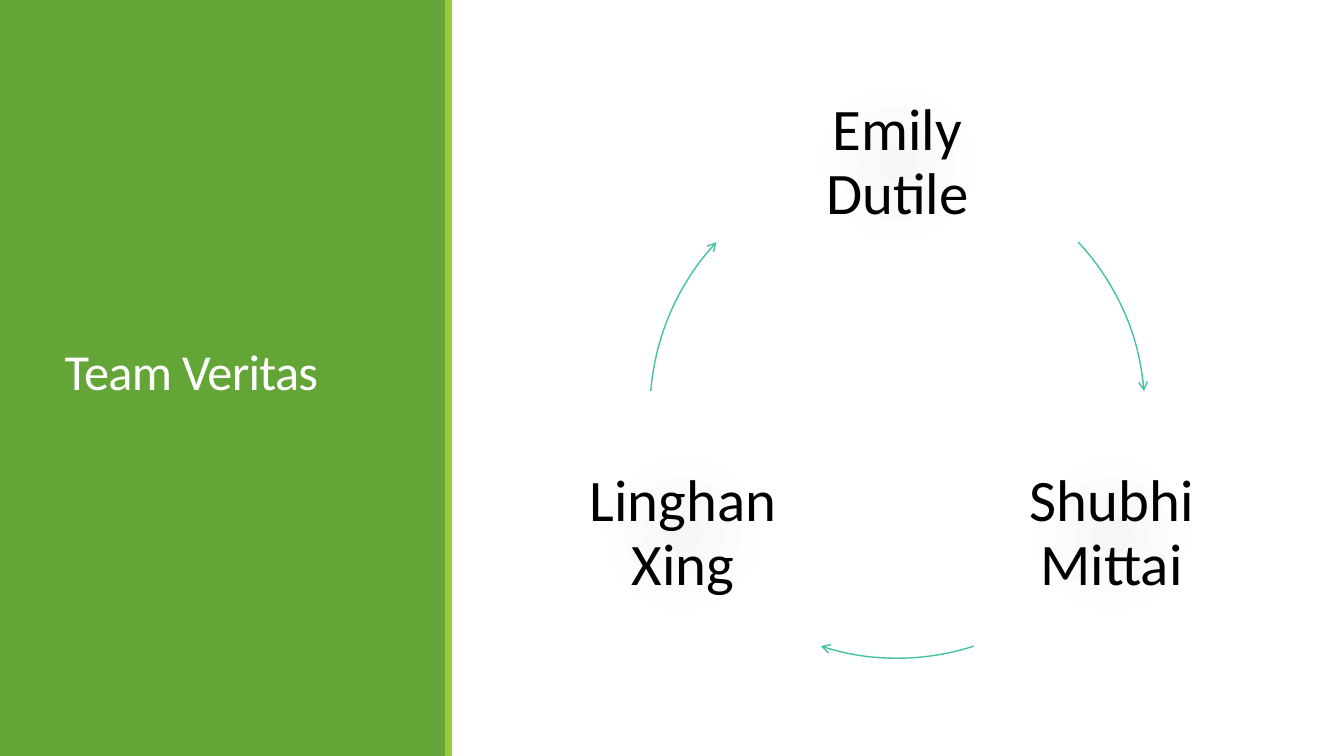
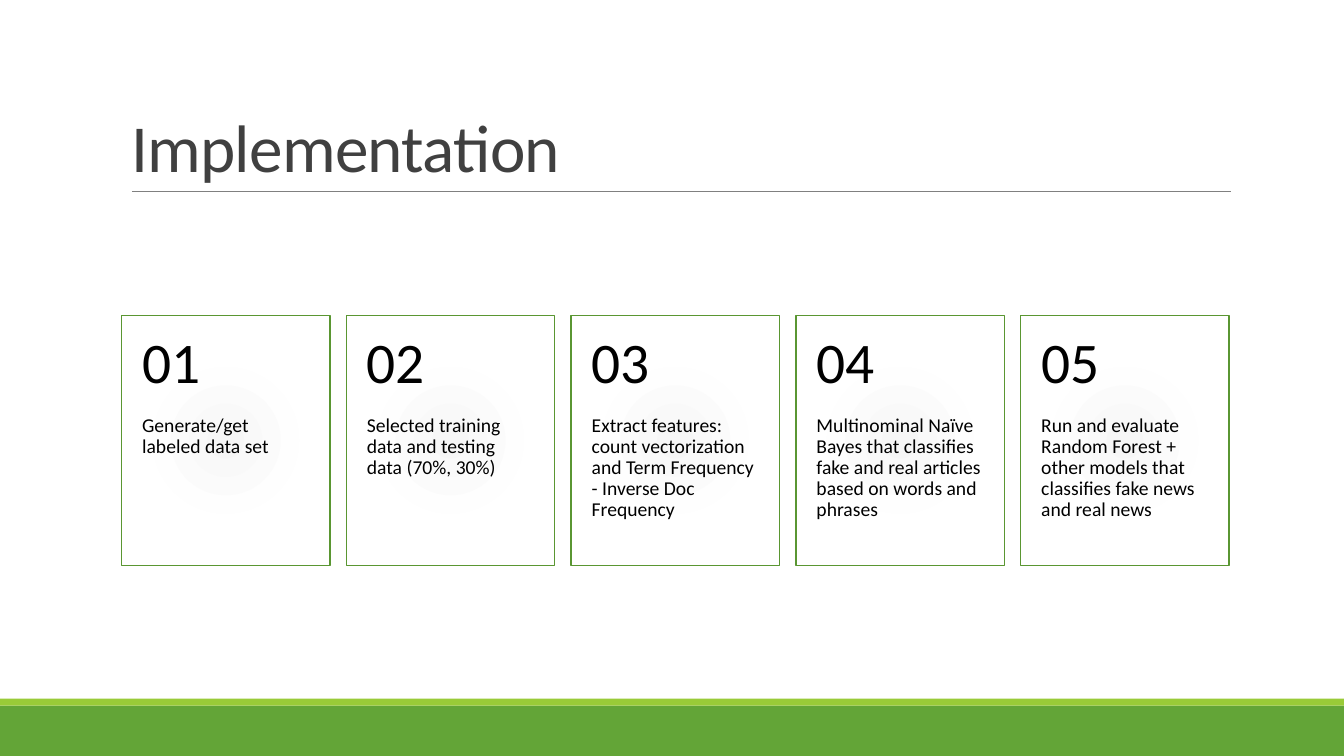
from math import cos, radians, sin

from lxml import etree
from pptx import Presentation
from pptx.dml.color import RGBColor
from pptx.enum import shapes as kinds, text as txt
from pptx.oxml import ns
from pptx.util import Pt

FONT = "Calibri"
GREEN, LIME, EDGE, TEAL = "63A537", "99CB38", "5A9632", "44C1A3"
WHITE, BLACK, DARK, GREY = "FFFFFF", "000000", "404040", "808080"
GLOW = ((0, "F6F6F6"), (45, "FEFEFE"), (100, WHITE))
WIDE, HIGH = 960, 540
SHAPE = kinds.MSO_SHAPE
MID, TOP, BASE = (txt.MSO_ANCHOR.MIDDLE, txt.MSO_ANCHOR.TOP,
                  txt.MSO_ANCHOR.BOTTOM)
LEFT, MIDST = txt.PP_ALIGN.LEFT, txt.PP_ALIGN.CENTER
TEAM = ("Emily Dutile", "Shubhi Mittai", "Linghan Xing")
ARCS = ((317, 355.4), (72, 108), (184.6, 223))
STEPS = (
    "Generate/get labeled data set",
    "Selected training data and testing data (70%, 30%)",
    "Extract features: count vectorization and Term Frequency "
    "- Inverse Doc Frequency",
    "Multinominal Naïve Bayes that classifies fake and real articles "
    "based on words and phrases",
    "Run and evaluate Random Forest + other models that classifies "
    "fake news and real news",
)


def color(code):
    """Turn a hex string into a colour."""
    return RGBColor.from_string(code)


def node(parent, tag, **attrs):
    """Add a drawing element below a parent."""
    return etree.SubElement(parent, ns.qn("a:" + tag), attrs)


def shape(slide, kind, box, fill=None, line=None):
    """Add a flat shape with an optional fill and outline."""
    item = slide.shapes.add_shape(kind, *map(Pt, box))
    item.shadow.inherit = False
    if fill:
        item.fill.solid()
        item.fill.fore_color.rgb = color(fill)
    else:
        item.fill.background()
    if line:
        item.line.color.rgb = color(line)
        item.line.width = Pt(1)
    else:
        item.line.fill.background()
    return item


def glow(item):
    """Replace a shape's fill with the soft radial gradient."""
    props = item._element.spPr
    grad = etree.Element(ns.qn("a:gradFill"), rotWithShape="1")
    stops = node(grad, "gsLst")
    for pos, code in GLOW:
        node(node(stops, "gs", pos=str(pos * 1000)), "srgbClr", val=code)
    way = node(grad, "path", path="circle")
    node(way, "fillToRect", **dict.fromkeys("ltrb", "100000"))
    props.replace(props.find(ns.qn("a:noFill")), grad)


def write(item, words, size, ink=BLACK, anchor=MID, align=LEFT,
          pads=(7.2, 3.6, 7.2, 3.6), lead=0.9):
    """Fill a shape's frame with one formatted run."""
    frame = item.text_frame
    frame.word_wrap = True
    frame.auto_size = txt.MSO_AUTO_SIZE.NONE
    frame.vertical_anchor = anchor
    (frame.margin_left, frame.margin_top,
     frame.margin_right, frame.margin_bottom) = map(Pt, pads)
    para = frame.paragraphs[0]
    para.alignment = align
    para.line_spacing = lead
    run = para.add_run()
    run.text = words
    run.font.name = FONT
    run.font.size = Pt(size)
    run.font.color.rgb = color(ink)
    return run


def label(slide, box, words, size, **style):
    """Add a text box."""
    write(slide.shapes.add_textbox(*map(Pt, box)), words, size, **style)


def title(slide, box, words, size, ink, anchor):
    """Place the title on top of what is drawn so far."""
    item = slide.shapes.title
    item.left, item.top, item.width, item.height = map(Pt, box)
    run = write(item, words, size, ink, anchor, lead=0.85)
    run._r.get_or_add_rPr().set("spc", "-50")
    slide.shapes._spTree.append(item._element)


def bands(slide, main, trim):
    """Draw the green band and its lime trim."""
    for box, fill in ((main, GREEN), (trim, LIME)):
        shape(slide, SHAPE.RECTANGLE, box, fill)


def cycle(slide, box):
    """Draw the team around a ring of arrows."""
    left, top, side, _ = box
    rad = side / 2
    wide, high = 204, 132.5
    for turn, (name, arc) in enumerate(zip(TEAM, ARCS)):
        angle = radians(120 * turn - 90)
        x = left + rad + rad * cos(angle) - wide / 2
        y = top + rad + rad * sin(angle) - high / 2
        card = shape(slide, SHAPE.ROUNDED_RECTANGLE, (x, y, wide, high))
        glow(card)
        write(card, name, 42, align=MIDST, pads=(12.2,) * 4)
        curve = shape(slide, SHAPE.ARC, box, line=TEAL)
        for spot, angle in enumerate(arc):
            curve.adjustments[spot] = angle * 0.6
        node(curve.line._get_or_add_ln(), "tailEnd", type="arrow")


def cards(slide, box):
    """Draw the numbered steps in equal columns."""
    left, top, wide, high = box
    gap, head = 11.6, 71.4
    col = (wide - gap * (len(STEPS) - 1)) / len(STEPS)
    for num, words in enumerate(STEPS):
        x = left + num * (col + gap)
        glow(shape(slide, SHAPE.RECTANGLE, (x, top, col, high), line=EDGE))
        label(slide, (x, top + head, col, high - head), words, 14,
              anchor=TOP, pads=(14.7, 0, 14.7, 26))
        label(slide, (x, top, col, head), f"{num + 1:02}", 41,
              pads=(14.7, 13, 14.7, 13))


def rule(slide, x, y, wide):
    """Draw the thin line below a title."""
    line = slide.shapes.add_connector(
        kinds.MSO_CONNECTOR.STRAIGHT, Pt(x), Pt(y), Pt(x + wide), Pt(y))
    line.line.color.rgb = color(GREY)
    line.line.width = Pt(0.5)
    node(line._element.spPr, "effectLst")


def team(slide):
    """Build the team slide."""
    bands(slide, (0, 0, 319, HIGH), (318, 0, 5, HIGH))
    title(slide, (39, 41, 243, 454), "Team Veritas", 36, WHITE, MID)
    cycle(slide, (464.3, 116.8, 353.4, 353.4))


def plan(slide):
    """Build the implementation slide."""
    bands(slide, (0, 504, WIDE, 36), (0, 499, WIDE, 5))
    rule(slide, 94.2, 136.7, 785)
    title(slide, (86.4, 22.6, 792, 114.2), "Implementation", 48, DARK, BASE)
    cards(slide, (86.8, 225.2, 791.2, 178.6))


def main():
    """Build and save the deck."""
    deck = Presentation()
    deck.slide_width, deck.slide_height = Pt(WIDE), Pt(HIGH)
    for build in (team, plan):
        build(deck.slides.add_slide(deck.slide_layouts[5]))
    deck.save("out.pptx")


if __name__ == "__main__":
    main()
